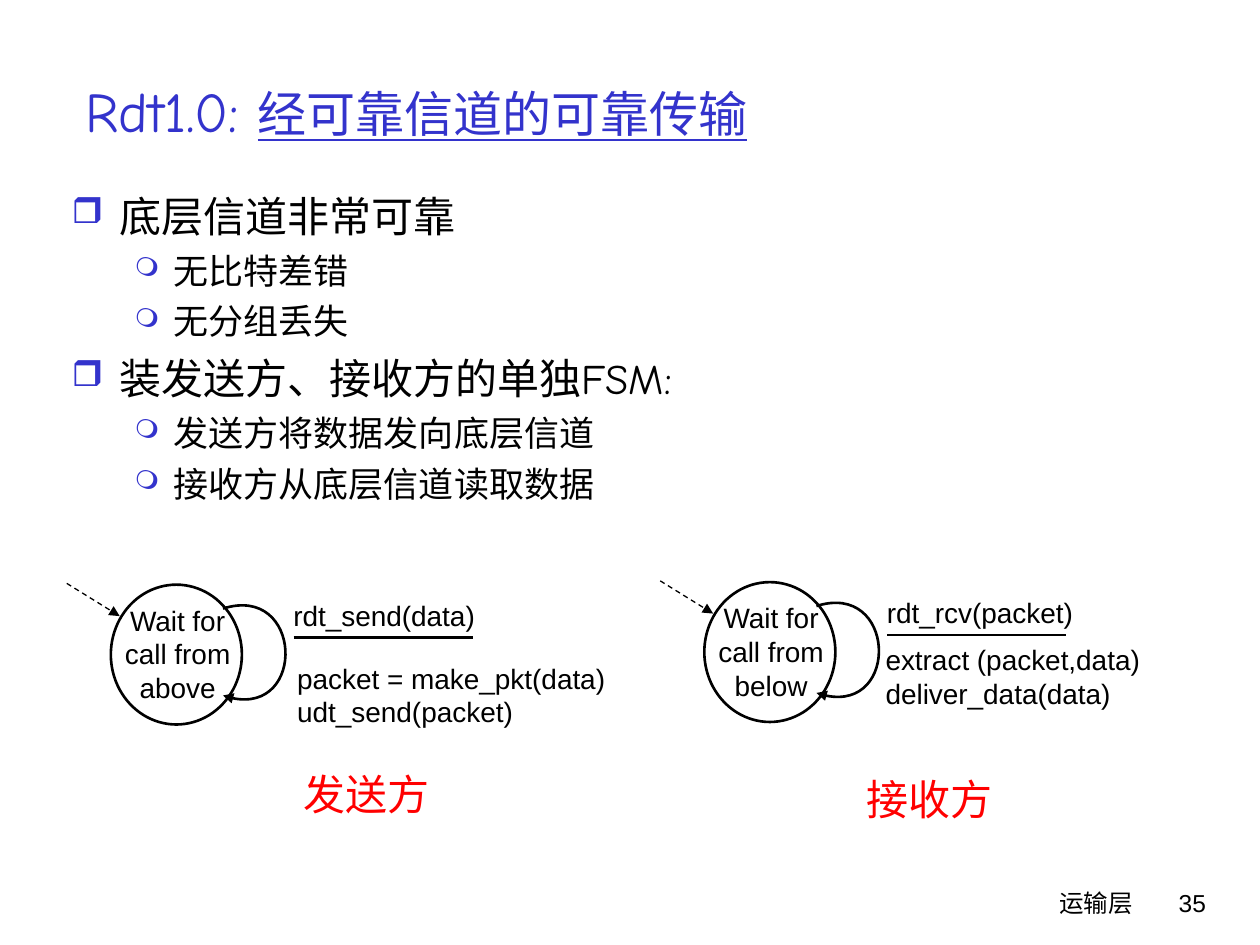
from pptx import Presentation
from pptx import util as u
from pptx.dml.color import RGBColor
from pptx.enum import dml, shapes, text
from pptx.oxml.ns import qn
from lxml import etree

BLACK, WHITE, BLUE, RED = "000000", "FFFFFF", "3333CC", "FF0000"
HAND, SANS = "Comic Neue", "Arial"
LEFT, CENTER, RIGHT = text.PP_ALIGN.LEFT, text.PP_ALIGN.CENTER, text.PP_ALIGN.RIGHT


def colour(hex_value):
    return RGBColor.from_string(hex_value)


def add_run(paragraph, words, size, face, ink=BLACK, underline=None):
    run = paragraph.add_run()
    run.text = words
    run.font.size = u.Pt(size)
    run.font.name = face
    run.font.color.rgb = colour(ink)
    run.font.underline = underline


def add_text(slide, box, lines, size=16, face=SANS, ink=BLACK, align=LEFT, wrap=True):
    frame = slide.shapes.add_textbox(*map(u.Inches, box)).text_frame
    frame.word_wrap = wrap
    for i, words in enumerate(lines):
        paragraph = frame.paragraphs[0] if i == 0 else frame.add_paragraph()
        paragraph.alignment = align
        add_run(paragraph, words, size, face, ink)


def style_line(line, width):
    line.color.rgb = colour(BLACK)
    line.width = u.Pt(width)


def add_arrowhead(shape):
    etree.SubElement(shape.line._get_or_add_ln(), qn("a:tailEnd"), type="triangle")


def add_line(slide, start, end, width):
    connector = slide.shapes.add_connector(
        shapes.MSO_CONNECTOR.STRAIGHT, *map(u.Inches, (*start, *end)))
    style_line(connector.line, width)
    etree.SubElement(connector._element.spPr, qn("a:effectLst"))
    return connector


def add_loop(slide, left, top):
    """Arrow that leaves a state and bends back to it, as one cubic curve."""
    start, *curve = [(left + dx, top + dy) for dx, dy in
                     ((0, 0.2), (0.63, 0), (0.67, 1.12), (0, 0.89))]
    builder = slide.shapes.build_freeform(
        *map(u.Inches, start), scale=1.0)
    builder.add_line_segments(
        [(u.Inches(x), u.Inches(y)) for x, y in curve], close=False)
    loop = builder.convert_to_shape()
    outline = loop._element.find(".//" + qn("a:path"))
    bezier = etree.SubElement(outline, qn("a:cubicBezTo"))
    for segment in outline.findall(qn("a:lnTo")):
        bezier.append(segment[0])
        outline.remove(segment)
    loop.shadow.inherit = False
    loop.fill.background()
    style_line(loop.line, 1.5)
    add_arrowhead(loop)


def add_title(slide, box):
    title = slide.shapes.title
    title.left, title.top, title.width, title.height = map(u.Inches, box)
    frame = title.text_frame
    frame.auto_size = text.MSO_AUTO_SIZE.NONE
    frame.vertical_anchor = text.MSO_ANCHOR.MIDDLE
    heading = frame.paragraphs[0]
    heading.alignment = LEFT
    add_run(heading, "Rdt1.0: ", 32, HAND, BLUE)
    add_run(heading, "经可靠信道的可靠传输", 28, HAND, BLUE, underline=True)


def add_bullet(paragraph, mark, percent, margin, hanging):
    props = paragraph._p.get_or_add_pPr()
    props.set("marL", str(u.Inches(margin)))
    props.set("indent", str(-u.Inches(hanging)))
    tint = etree.SubElement(props, qn("a:buClr"))
    etree.SubElement(tint, qn("a:srgbClr"), val=BLUE)
    etree.SubElement(props, qn("a:buSzPct"), val=str(percent * 1000))
    etree.SubElement(props, qn("a:buChar"), char=mark)


def add_outline(slide, box, points):
    """Bulleted list of (level, words)."""
    levels = [(24, 6, ("❒", 85, 0.38, 0.38)), (20, 5, ("❍", 75, 0.81, 0.31))]
    frame = slide.shapes.add_textbox(*map(u.Inches, box)).text_frame
    frame.word_wrap = True
    for i, (level, words) in enumerate(points):
        size, space, bullet = levels[level]
        paragraph = frame.add_paragraph() if i else frame.paragraphs[0]
        paragraph.level = level
        add_bullet(paragraph, *bullet)
        if i:
            paragraph.space_before = u.Pt(space)
        add_run(paragraph, words, size, HAND)


def add_machine(slide, left, top, state, event, actions, action_at, role, role_at):
    """One-state machine; every part is placed from its top left corner."""
    def at(dx, dy):
        return left + dx, top + dy

    circle = slide.shapes.add_shape(
        shapes.MSO_SHAPE.OVAL, *map(u.Inches, (*at(0.35, 0.01), 1.04, 1.11)))
    circle.shadow.inherit = False
    circle.fill.solid()
    circle.fill.fore_color.rgb = colour(WHITE)
    style_line(circle.line, 1.5)
    add_text(slide, (*at(0.28, 0.11), 1.2, 1), [state], align=CENTER)
    add_loop(slide, *at(1.24, 0))

    entry = add_line(slide, at(0, 0), at(0.42, 0.26), 0.75)
    entry.line.dash_style = dml.MSO_LINE.DASH
    add_arrowhead(entry)

    add_text(slide, (*at(1.7, 0.07), 2.47, 0.37), [event])
    add_line(slide, at(1.8, 0.43), at(3.22, 0.43), 1.5)
    add_text(slide, (*at(*action_at), 2.93, 0.65), actions)
    add_text(slide, (*at(*role_at), 1.2, 0.5), [role], 24, HAND, RED, CENTER, wrap=False)


def add_footer(slide, top):
    add_text(slide, (5.92, top, 3.17, 0.5), ["运输层"], 14, HAND, align=RIGHT)
    add_text(slide, (8.93, top, 0.74, 0.5), ["35"], 14, align=RIGHT)


def main():
    deck = Presentation()
    deck.slide_width, deck.slide_height = u.Inches(10), u.Inches(7.5)
    slide = deck.slides.add_slide(deck.slide_layouts[5])
    add_title(slide, (0.58, 0.25, 8.75, 1.25))
    add_outline(slide, (0.47, 1.46, 8.64, 3.3), [
        (0, "底层信道非常可靠"),
        (1, "无比特差错"),
        (1, "无分组丢失"),
        (0, "装发送方、接收方的单独FSM:"),
        (1, "发送方将数据发向底层信道"),
        (1, "接收方从底层信道读取数据"),
    ])
    add_machine(slide, 0.53, 4.63, "Wait for call from above", "rdt_send(data)",
                ["packet = make_pkt(data)", "udt_send(packet)"], (1.73, 0.57),
                "发送方", (1.78, 1.42))
    add_machine(slide, 5.24, 4.61, "Wait for call from below", "rdt_rcv(packet)",
                ["extract (packet,data)", "deliver_data(data)"], (1.69, 0.44),
                "接收方", (1.54, 1.48))
    add_footer(slide, 7)
    deck.save("out.pptx")


if __name__ == "__main__":
    main()
